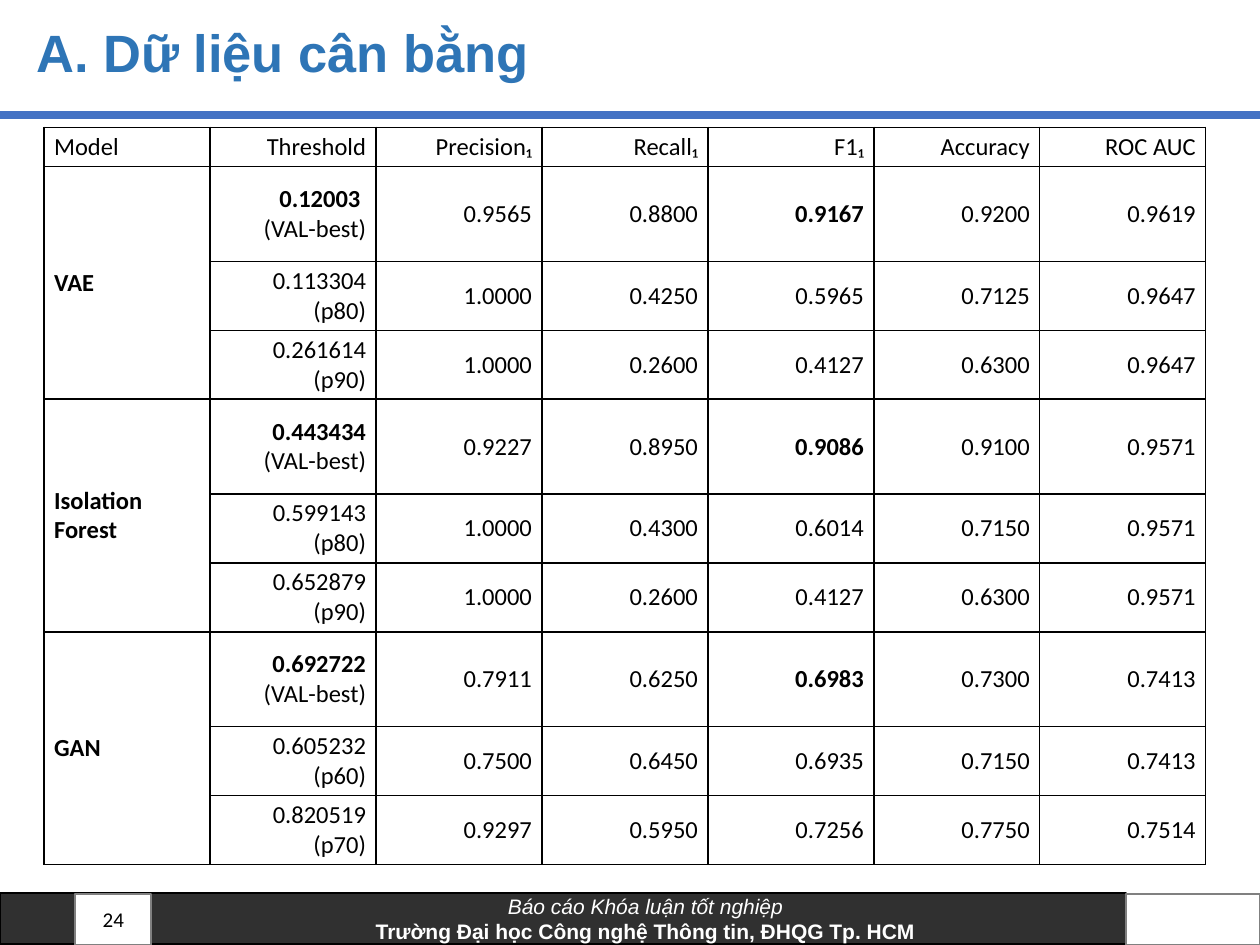
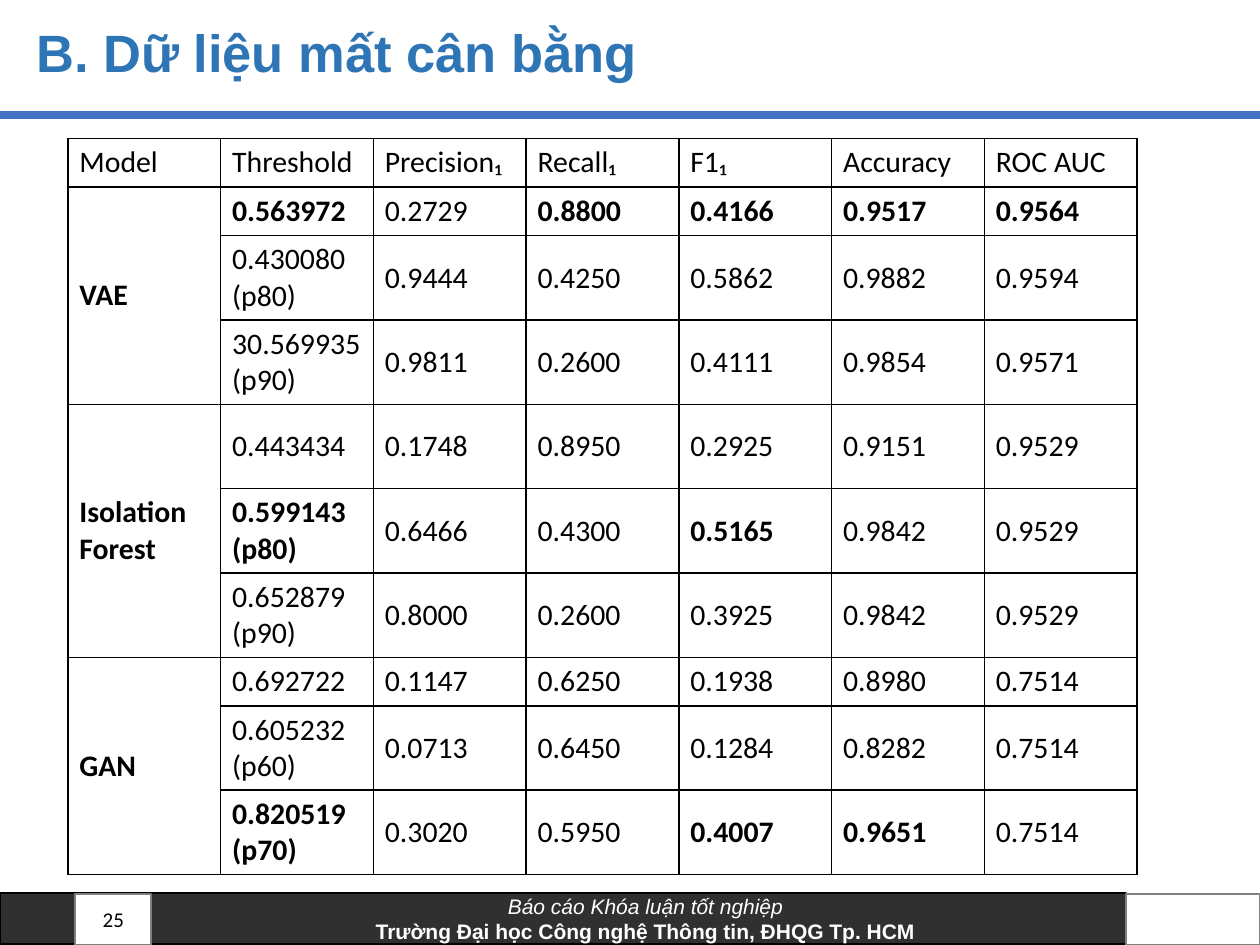
"""Build two slides that compare anomaly models on balanced and imbalanced data."""
import pptx
import pptx.dml.color
import pptx.enum.shapes
import pptx.enum.text
import pptx.oxml
import pptx.oxml.ns
import pptx.util

Cm = pptx.util.Cm
Pt = pptx.util.Pt
RGBColor = pptx.dml.color.RGBColor
Align = pptx.enum.text.PP_ALIGN
Anchor = pptx.enum.text.MSO_ANCHOR

BLACK = RGBColor(0x00, 0x00, 0x00)
WHITE = RGBColor(0xFF, 0xFF, 0xFF)
GRAY = RGBColor(0x80, 0x80, 0x80)
BLUE = RGBColor(0x44, 0x72, 0xC4)
NAVY = RGBColor(0x2E, 0x75, 0xB6)

WIDTH, HEIGHT = 25.4, 19.05
FOOT = "~Báo cáo Khóa luận tốt nghiệp\n*Trường Đại học Công nghệ Thông tin, ĐHQG Tp. HCM"
HEADS = ["Model", "Threshold", "Precision₁", "Recall₁", "F1₁", "Accuracy", "ROC AUC"]
MODELS = ["*VAE", "*Isolation Forest", "*GAN"]

EVEN = [
    ["*0.12003 \n(VAL-best)", "0.9565", "0.8800", "*0.9167", "0.9200", "0.9619"],
    ["0.113304 (p80)", "1.0000", "0.4250", "0.5965", "0.7125", "0.9647"],
    ["0.261614 (p90)", "1.0000", "0.2600", "0.4127", "0.6300", "0.9647"],
    ["*0.443434| (VAL-best)", "0.9227", "0.8950", "*0.9086", "0.9100", "0.9571"],
    ["0.599143 (p80)", "1.0000", "0.4300", "0.6014", "0.7150", "0.9571"],
    ["0.652879 (p90)", "1.0000", "0.2600", "0.4127", "0.6300", "0.9571"],
    ["*0.692722| (VAL-best)", "0.7911", "0.6250", "*0.6983", "0.7300", "0.7413"],
    ["0.605232 (p60)", "0.7500", "0.6450", "0.6935", "0.7150", "0.7413"],
    ["0.820519 (p70)", "0.9297", "0.5950", "0.7256", "0.7750", "0.7514"],
]
SKEWED = [
    ["*0.563972", "0.2729", "*0.8800", "*0.4166", "*0.9517", "*0.9564"],
    ["0.430080 (p80)", "0.9444", "0.4250", "0.5862", "0.9882", "0.9594"],
    ["30.569935 (p90)", "0.9811", "0.2600", "0.4111", "0.9854", "0.9571"],
    ["0.443434", "0.1748", "0.8950", "0.2925", "0.9151", "0.9529"],
    ["*0.599143 (p80)", "0.6466", "0.4300", "*0.5165", "0.9842", "0.9529"],
    ["0.652879 (p90)", "0.8000", "0.2600", "0.3925", "0.9842", "0.9529"],
    ["0.692722", "0.1147", "0.6250", "0.1938", "0.8980", "0.7514"],
    ["0.605232 (p60)", "0.0713", "0.6450", "0.1284", "0.8282", "0.7514"],
    ["*0.820519 (p70)", "0.3020", "0.5950", "*0.4007", "*0.9651", "0.7514"],
]


def write(frame, text, size=12, font="Calibri", color=BLACK, align=Align.LEFT, space=None):
    """Fill a frame: newline splits paragraphs, | splits runs, * is bold and ~ is italic."""
    frame.word_wrap = True
    for index, line in enumerate(text.split("\n")):
        para = frame.add_paragraph() if index else frame.paragraphs[0]
        para.alignment = align
        para.line_spacing = space
        for part in line.split("|"):
            run = para.add_run()
            run.text = part.lstrip("*~")
            run.font.size = Pt(size)
            run.font.name = font
            run.font.color.rgb = color
            run.font.bold = part.startswith("*")
            run.font.italic = part.startswith("~")


def label(slide, text, left, top, width, height, **style):
    """Add a text box with its text in the middle of its height."""
    frame = slide.shapes.add_textbox(Cm(left), Cm(top), Cm(width), Cm(height)).text_frame
    frame.vertical_anchor = Anchor.MIDDLE
    write(frame, text, **style)


def block(slide, left, top, width, height, fill, edge, alpha=None):
    """Add an outlined rectangle, with an opacity in percent if given."""
    kind = pptx.enum.shapes.MSO_SHAPE.RECTANGLE
    shape = slide.shapes.add_shape(kind, Cm(left), Cm(top), Cm(width), Cm(height))
    shape.shadow.inherit = False
    shape.fill.solid()
    shape.fill.fore_color.rgb = fill
    shape.line.color.rgb = edge
    shape.line.width = Pt(1)
    if alpha:
        tint = shape.fill._xPr.find(".//" + pptx.oxml.ns.qn("a:srgbClr"))
        pptx.oxml.ns.qn("a:alpha")
        tint.append(pptx.oxml.parse_xml(
            f'<a:alpha {pptx.oxml.ns.nsdecls("a")} val="{alpha * 1000}"/>'))
    return shape


def rule(slide, top):
    """Draw the blue line across the slide below the title."""
    kind = pptx.enum.shapes.MSO_CONNECTOR.STRAIGHT
    line = slide.shapes.add_connector(kind, 0, Cm(top), Cm(WIDTH), Cm(top))
    line.line.color.rgb = BLUE
    line.line.width = Pt(4.5)
    line._element.spPr.append(
        pptx.oxml.parse_xml(f'<a:effectLst {pptx.oxml.ns.nsdecls("a")}/>'))


def page(deck, title, number):
    """Add a slide with its title, rule, footer band and page number."""
    slide = deck.slides.add_slide(deck.slide_layouts[6])
    band = block(slide, 0, 18.01, 22.7, 1.02, BLACK, BLACK, alpha=81)
    frame = band.text_frame
    frame.margin_left, frame.margin_right = Cm(3.71), Cm(0.38)
    frame.margin_top = frame.margin_bottom = Cm(0.18)
    frame.vertical_anchor = Anchor.MIDDLE
    write(frame, FOOT, font="Arial", color=WHITE, align=Align.CENTER)
    for left, width in ((1.52, 1.52), (22.7, 2.7)):
        block(slide, left, 18.03, width, 1.02, WHITE, GRAY)
    rule(slide, 2.31)
    label(slide, "*" + title, 0.48, 0.41, 22.81, 1.42,
          size=30, font="Arial", color=NAVY, space=0.9)
    label(slide, str(number), 1.63, 18.01, 1.12, 1.02, align=Align.RIGHT)
    return slide


def border(cell):
    """Give a cell four thin black sides and no fill."""
    props = cell._tc.get_or_add_tcPr()
    for side in "LRTB":
        props.append(pptx.oxml.parse_xml(
            f'<a:ln{side} {pptx.oxml.ns.nsdecls("a")} w="{Pt(1)}">'
            f'<a:solidFill><a:srgbClr val="{BLACK}"/></a:solidFill></a:ln{side}>'))
    cell.fill.background()


def grid(slide, data, left, top, width, rows, pad, size, align):
    """Add a score table whose first column spans three rows per model."""
    count = len(HEADS)
    table = slide.shapes.add_table(len(rows), count, Cm(left), Cm(top),
                                   Cm(width), Cm(sum(rows))).table
    table.first_row = table.horz_banding = False
    for col in table.columns:
        col.width = Cm(width / count)
    lines = [HEADS]
    for index, scores in enumerate(data):
        name = "" if index % 3 else MODELS[index // 3]
        lines.append([name] + scores)
    for y, line in enumerate(lines):
        table.rows[y].height = Cm(rows[y])
        for x, text in enumerate(line):
            cell = table.cell(y, x)
            cell.margin_left = cell.margin_right = Cm(pad[0])
            cell.margin_top = cell.margin_bottom = Cm(pad[1])
            cell.vertical_anchor = Anchor.MIDDLE
            border(cell)
            if text:
                write(cell.text_frame, text, size=size, align=align if x else Align.LEFT)
    for y in range(1, len(lines), 3):
        table.cell(y, 0).merge(table.cell(y + 2, 0))


def main():
    """Build both slides and save the deck."""
    deck = pptx.Presentation()
    deck.slide_width, deck.slide_height = Cm(WIDTH), Cm(HEIGHT)
    slide = page(deck, "A. Dữ liệu cân bằng", 24)
    grid(slide, EVEN, 0.89, 2.57, 23.42, [0.79] + [1.91, 1.39, 1.39] * 3,
         pad=(0.2, 0.09), size=14, align=Align.RIGHT)
    slide = page(deck, "B. Dữ liệu mất cân bằng", 25)
    grid(slide, SKEWED, 1.37, 2.79, 21.56, [0.98] * 2 + [1.7] * 5 + [0.98] + [1.7] * 2,
         pad=(0.23, 0.12), size=17, align=Align.LEFT)
    deck.save("out.pptx")


if __name__ == "__main__":
    main()
